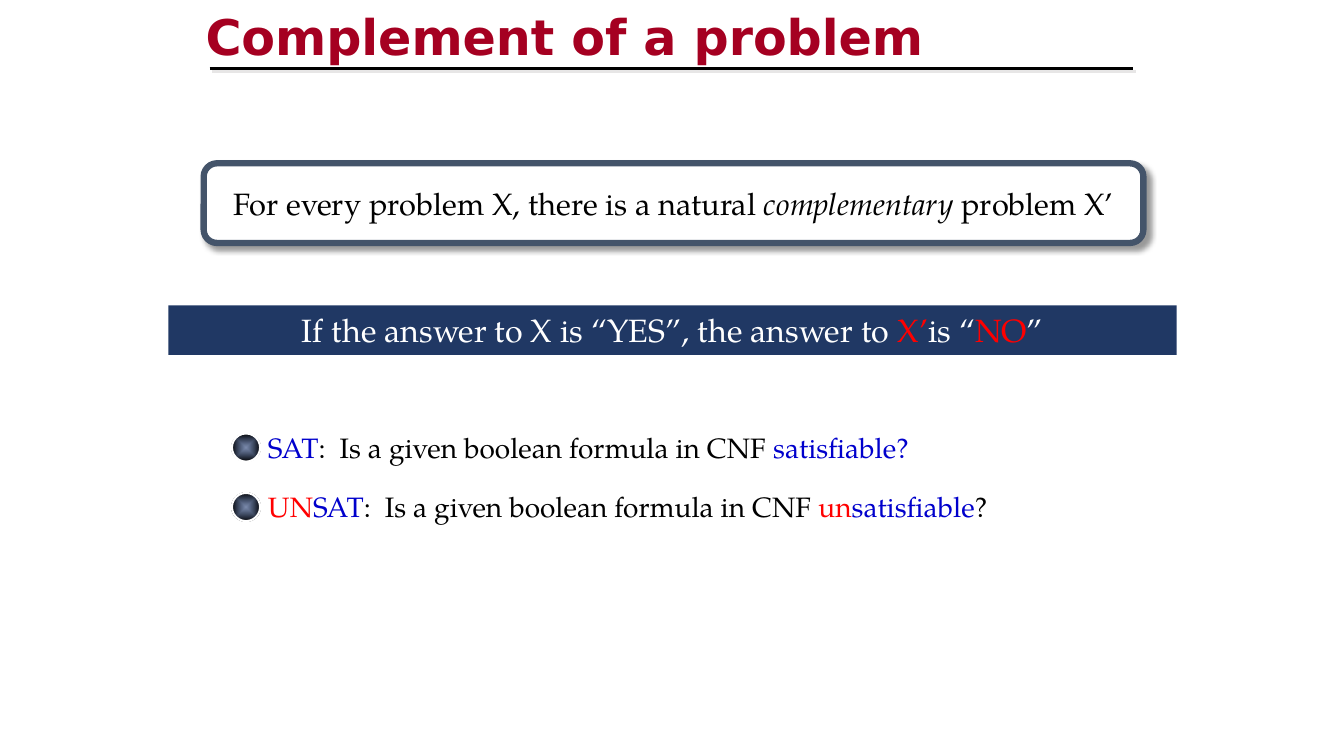
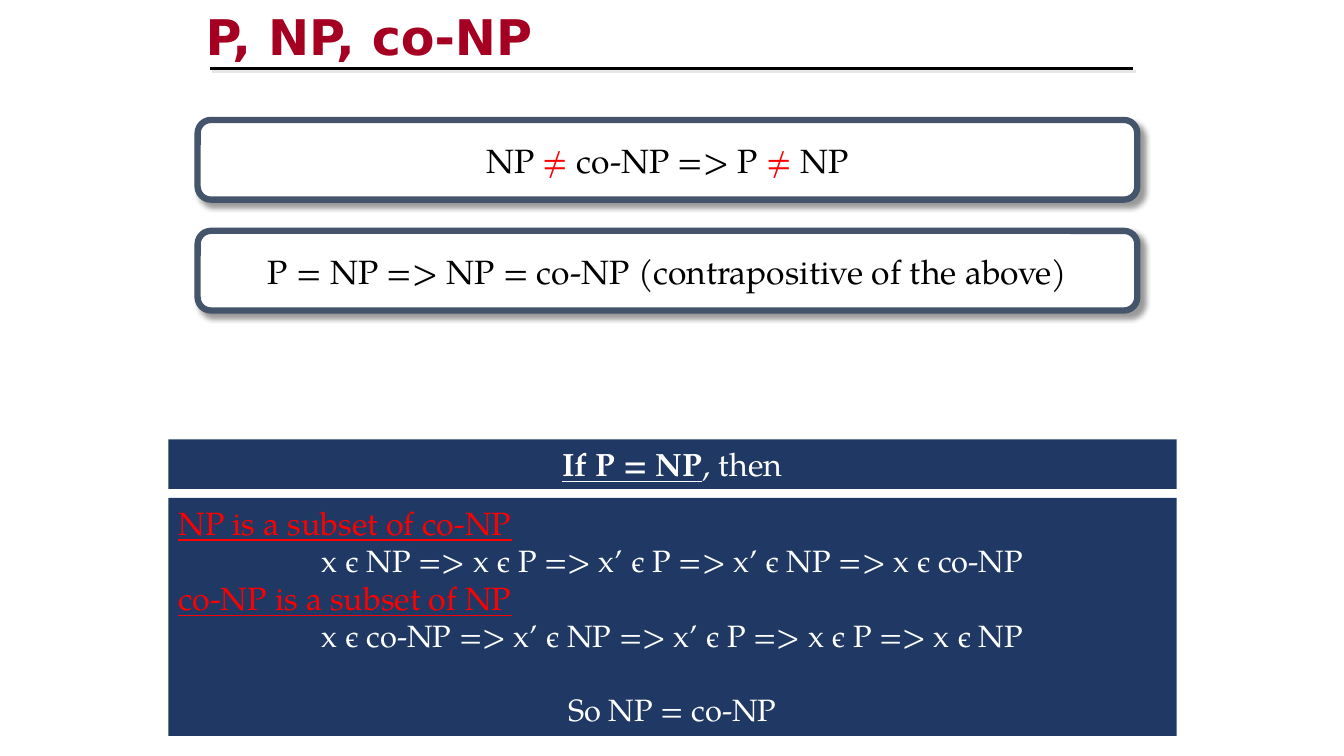
from dataclasses import dataclass, field

import pptx
import pptx.dml.color
import pptx.enum.shapes
import pptx.enum.text
import pptx.oxml
import pptx.oxml.ns
import pptx.util

Inches = pptx.util.Inches
Pt = pptx.util.Pt
PresetShape = pptx.enum.shapes.MSO_SHAPE
Align = pptx.enum.text.PP_ALIGN
Anchor = pptx.enum.text.MSO_ANCHOR
qn = pptx.oxml.ns.qn

# Shared look
BLACK, WHITE, RED, BLUE = "000000", "FFFFFF", "FF0000", "0000CC"
CRIMSON, NAVY, SLATE, SILVER = "A50021", "203864", "44546A", "E7E6E6"
TITLE_FONT, BODY_FONT = "DejaVu Sans", "TeX Gyre Pagella"
DRAWING_NS = pptx.oxml.ns.nsdecls("a")
BAND_LEFT, BAND_WIDTH, BAND_HEIGHT = 1.67, 10, 0.49
CARD_WIDTH, CARD_HEIGHT = 9.32, 0.79


@dataclass
class Run:
    text: str
    color: str
    formats: dict = field(default_factory=dict)


@dataclass
class Line:
    runs: list[Run]
    size: float
    align: Align = Align.LEFT
    space_before: float = 0
    font: str = BODY_FONT


@dataclass
class Card:
    left: float
    top: float
    line: Line


@dataclass
class Band:
    top: float
    lines: list[Line]
    height: float = BAND_HEIGHT


@dataclass
class Question:
    top: float
    runs: list[Run]


def rgb(color: str) -> pptx.dml.color.RGBColor:
    return pptx.dml.color.RGBColor.from_string(color)


def shadow_effect(color: str, opacity: int, blur: float, distance: float):
    return pptx.oxml.parse_xml(
        f'<a:effectLst {DRAWING_NS}><a:outerShdw blurRad="{Pt(blur)}" dist="{Pt(distance)}" '
        f'dir="2700000" algn="tl" rotWithShape="0"><a:srgbClr val="{color}">'
        f'<a:alpha val="{opacity * 1000}"/></a:srgbClr></a:outerShdw></a:effectLst>')


def write_lines(frame, lines: list[Line], wrap: bool = True, anchor: Anchor = Anchor.TOP) -> None:
    frame.word_wrap = wrap
    frame.vertical_anchor = anchor
    for index, line in enumerate(lines):
        paragraph = frame.paragraphs[0] if index == 0 else frame.add_paragraph()
        paragraph.alignment = line.align
        paragraph.space_before = Pt(line.space_before)
        for part in line.runs:
            run = paragraph.add_run()
            run.text = part.text
            run.font.color.rgb = rgb(part.color)
            formats = {"name": line.font, "size": Pt(line.size), **part.formats}
            for attribute, value in formats.items():
                setattr(run.font, attribute, value)


def add_filled_shape(slide, preset, left: float, top: float, width: float, height: float,
                     fill: str, outline: str = "", outline_width: float = 0):
    shape = slide.shapes.add_shape(
        preset, Inches(left), Inches(top), Inches(width), Inches(height))
    shape.shadow.inherit = False
    shape.fill.solid()
    shape.fill.fore_color.rgb = rgb(fill)
    if outline:
        shape.line.color.rgb = rgb(outline)
        shape.line.width = Pt(outline_width)
    else:
        shape.line.fill.background()
    return shape


def add_text(slide, left: float, top: float, width: float, height: float, line: Line):
    box = slide.shapes.add_textbox(Inches(left), Inches(top), Inches(width), Inches(height))
    write_lines(box.text_frame, [line])
    return box


def add_titled_slide(deck, title: str):
    slide = deck.slides.add_slide(deck.slide_layouts[6])
    # Title with a soft text shadow
    heading = Line([Run(title, CRIMSON, {"bold": True})], 35.1, font=TITLE_FONT)
    title_box = add_text(slide, 1.94, 0.01, 8.5, 0.67, heading)
    run_format = title_box.text_frame.paragraphs[0].runs[0]._r.rPr
    run_format.find(qn("a:solidFill")).addnext(shadow_effect(SILVER, 100, 0, 2.8))
    # Rule under the title
    rule = slide.shapes.add_connector(
        pptx.enum.shapes.MSO_CONNECTOR.STRAIGHT,
        Inches(2.08), Inches(0.68), Inches(11.24), Inches(0.68))
    rule.line.color.rgb = rgb(BLACK)
    rule.line.width = Pt(2.25)
    rule._element.spPr.append(shadow_effect(SILVER, 100, 0, 2.8))
    return slide


def add_card(slide, card: Card) -> None:
    frame = add_filled_shape(slide, PresetShape.ROUNDED_RECTANGLE, card.left, card.top,
                             CARD_WIDTH, CARD_HEIGHT, WHITE, SLATE, 4.5)
    properties = frame._element.spPr
    properties.replace(properties.find(qn("a:effectLst")), shadow_effect(BLACK, 40, 4, 4))
    write_lines(frame.text_frame, [card.line], wrap=False, anchor=Anchor.MIDDLE)


def add_band(slide, band: Band) -> None:
    bar = add_filled_shape(slide, PresetShape.RECTANGLE, BAND_LEFT, band.top,
                           BAND_WIDTH, band.height, NAVY)
    write_lines(bar.text_frame, band.lines)


def add_question(slide, question: Question) -> None:
    ball = add_filled_shape(slide, PresetShape.OVAL, 2.3, question.top + 0.08,
                            0.28, 0.28, BLACK, WHITE, 1.5)
    glow = pptx.oxml.parse_xml(
        f'<a:gradFill {DRAWING_NS} rotWithShape="1"><a:gsLst>'
        '<a:gs pos="0"><a:srgbClr val="002060"><a:alpha val="51000"/></a:srgbClr></a:gs>'
        f'<a:gs pos="100000"><a:srgbClr val="{BLACK}"/></a:gs></a:gsLst>'
        '<a:path path="shape"><a:fillToRect l="50000" t="50000" r="50000" b="50000"/>'
        '</a:path></a:gradFill>')
    properties = ball._element.spPr
    properties.replace(properties.find(qn("a:solidFill")), glow)
    add_text(slide, 2.56, question.top, 8.8, 0.44, Line(question.runs, 20))


def centered(size: float, *runs: Run, space_before: float = 0) -> Line:
    return Line(list(runs), size, Align.CENTER, space_before)


def build_complement(deck) -> None:
    slide = add_titled_slide(deck, "Complement of a problem")
    add_card(slide, Card(2.02, 1.62, centered(
        22,
        Run("For every problem X, there is a natural ", BLACK),
        Run("complementary", BLACK, {"italic": True}),
        Run(" problem X’", BLACK))))
    add_band(slide, Band(3.03, [centered(
        23,
        Run("If the answer to X is “YES”, the answer to ", WHITE),
        Run("X’", RED), Run("is “", WHITE), Run("NO", RED), Run("”", WHITE))]))
    # Example problems
    stem = Run(":  Is a given boolean formula in CNF ", BLACK)
    questions = [
        Question(4.22, [Run("SAT", BLUE), stem, Run("satisfiable?", BLUE)]),
        Question(4.81, [Run("UN", RED), Run("SAT", BLUE), stem, Run("un", RED),
                        Run("satisfiable", BLUE), Run("?", BLACK)]),
    ]
    for question in questions:
        add_question(slide, question)


def build_classes(deck) -> None:
    slide = add_titled_slide(deck, "P, NP, co-NP")
    # Claim and its contrapositive
    differs = Run("≠", RED)
    claims = [
        centered(24, Run("NP ", BLACK), differs, Run(" co-NP => P ", BLACK),
                 differs, Run(" NP", BLACK)),
        centered(24, Run("P = NP => NP = co-NP (contrapositive of the above)", BLACK)),
    ]
    for index, claim in enumerate(claims):
        add_card(slide, Card(1.96, 1.19 + 1.1 * index, claim))
    # Proof
    underlined = {"underline": True}
    add_band(slide, Band(4.36, [centered(
        23, Run("If P = NP", WHITE, {"bold": True, **underlined}), Run(", then", WHITE))]))
    steps = [
        ("NP is a subset of co-NP", "x є NP => x є P => x’ є P => x’ є NP => x є co-NP"),
        ("co-NP is a subset of NP", "x є co-NP => x’ є NP => x’ є P => x є P => x є NP"),
    ]
    proof = []
    for inclusion, chain in steps:
        proof.append(Line([Run(inclusion, RED, underlined)], 23))
        proof.append(centered(22, Run(chain, WHITE)))
    proof.append(centered(22, Run("So NP = co-NP", WHITE), space_before=26.5))
    add_band(slide, Band(4.94, proof, height=2.36))


def main() -> None:
    deck = pptx.Presentation()
    deck.slide_width, deck.slide_height = Inches(13.33), Inches(7.5)
    build_complement(deck)
    build_classes(deck)
    deck.save("out.pptx")


if __name__ == "__main__":
    main()
